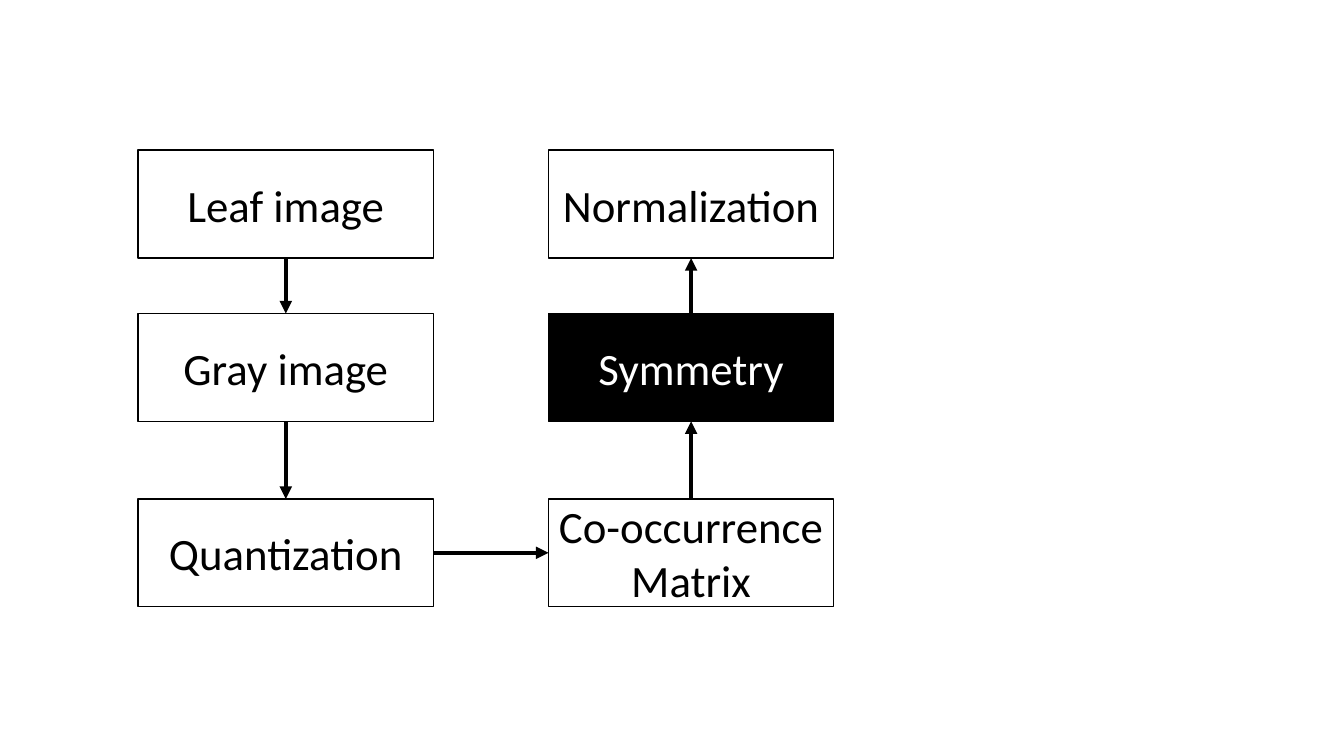
from lxml import etree
from pptx import Presentation
from pptx.dml.color import RGBColor
from pptx.enum import shapes, text
from pptx.oxml import ns
from pptx.util import Inches, Pt

BLACK = RGBColor(0, 0, 0)
WHITE = RGBColor(255, 255, 255)

TOP, LEFT, BOTTOM, RIGHT = range(4)
ROW_TOPS = [1.49, 3.11, 4.95]
BOX_HEIGHT = 1.07
COLUMNS = [
    (1.37, 2.93, [("Leaf image", WHITE), ("Gray image", WHITE), ("Quantization", WHITE)]),
    (5.44, 2.83, [("Normalization", None), ("Symmetry", BLACK), ("Co-occurrence Matrix", None)]),
]
ARROWS = [
    ("Leaf image", BOTTOM, "Gray image", TOP),
    ("Gray image", BOTTOM, "Quantization", TOP),
    ("Quantization", RIGHT, "Co-occurrence Matrix", LEFT),
    ("Co-occurrence Matrix", TOP, "Symmetry", BOTTOM),
    ("Symmetry", TOP, "Normalization", BOTTOM),
]

deck = Presentation()
deck.slide_width = Inches(13.33)
deck.slide_height = Inches(7.5)
page = deck.slides.add_slide(deck.slide_layouts[6])

boxes = {}
for left, width, steps in COLUMNS:
    for top, (label, fill) in zip(ROW_TOPS, steps):
        box = page.shapes.add_shape(
            shapes.MSO_SHAPE.RECTANGLE,
            Inches(left), Inches(top), Inches(width), Inches(BOX_HEIGHT))
        box.shadow.inherit = False
        if fill is None:
            box.fill.background()
        else:
            box.fill.solid()
            box.fill.fore_color.rgb = fill
        box.line.color.rgb = BLACK
        box.line.width = Pt(1)
        frame = box.text_frame
        frame.word_wrap = True
        frame.vertical_anchor = text.MSO_ANCHOR.MIDDLE
        para = frame.paragraphs[0]
        para.alignment = text.PP_ALIGN.CENTER
        span = para.add_run()
        span.text = label
        for name, value in {"name": "Calibri", "size": Pt(32)}.items():
            setattr(span.font, name, value)
        span.font.color.rgb = WHITE if fill == BLACK else BLACK
        boxes[label] = box

for source, source_side, target, target_side in ARROWS:
    arrow = page.shapes.add_connector(shapes.MSO_CONNECTOR.STRAIGHT, 0, 0, 0, 0)
    arrow.begin_connect(boxes[source], source_side)
    arrow.end_connect(boxes[target], target_side)
    arrow.line.color.rgb = BLACK
    arrow.line.width = Pt(3)
    outline = arrow.line._get_or_add_ln()
    etree.SubElement(outline, ns.qn("a:tailEnd"), type="triangle")
    etree.SubElement(arrow._element.spPr, ns.qn("a:effectLst"))

deck.save("out.pptx")
